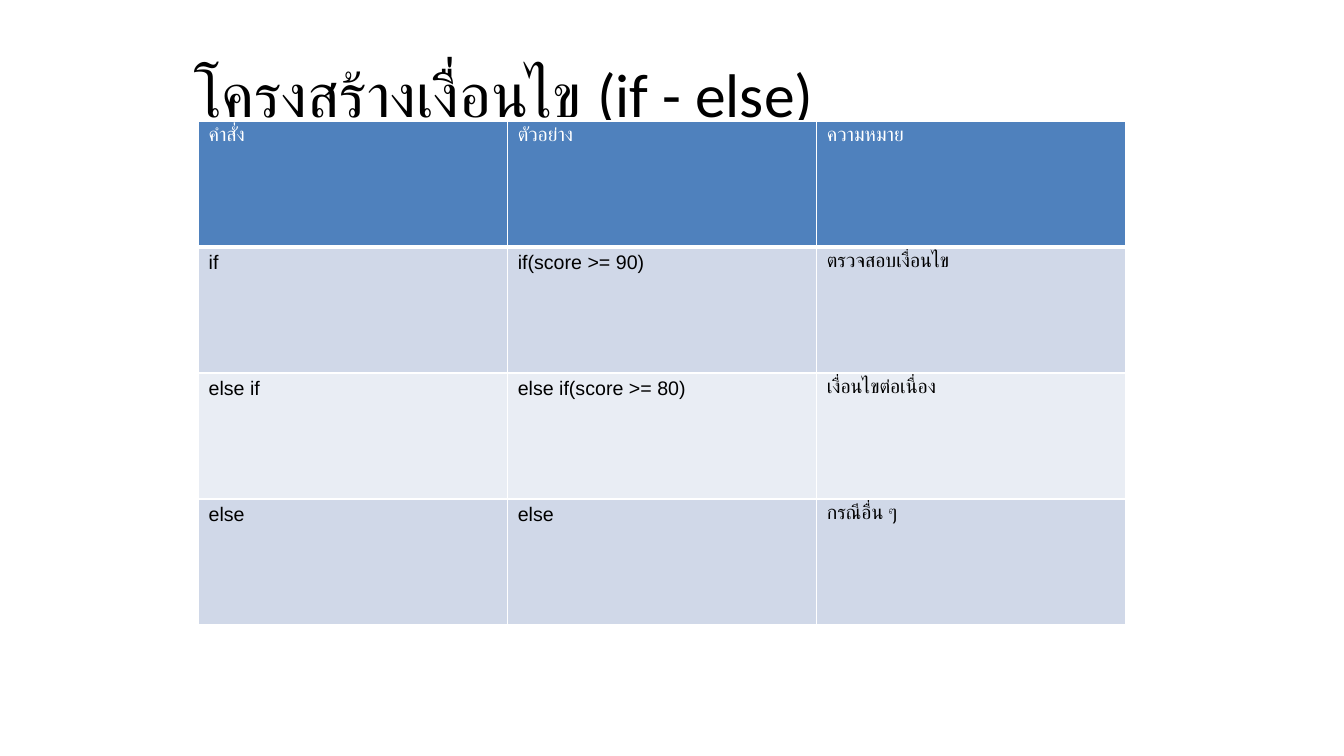
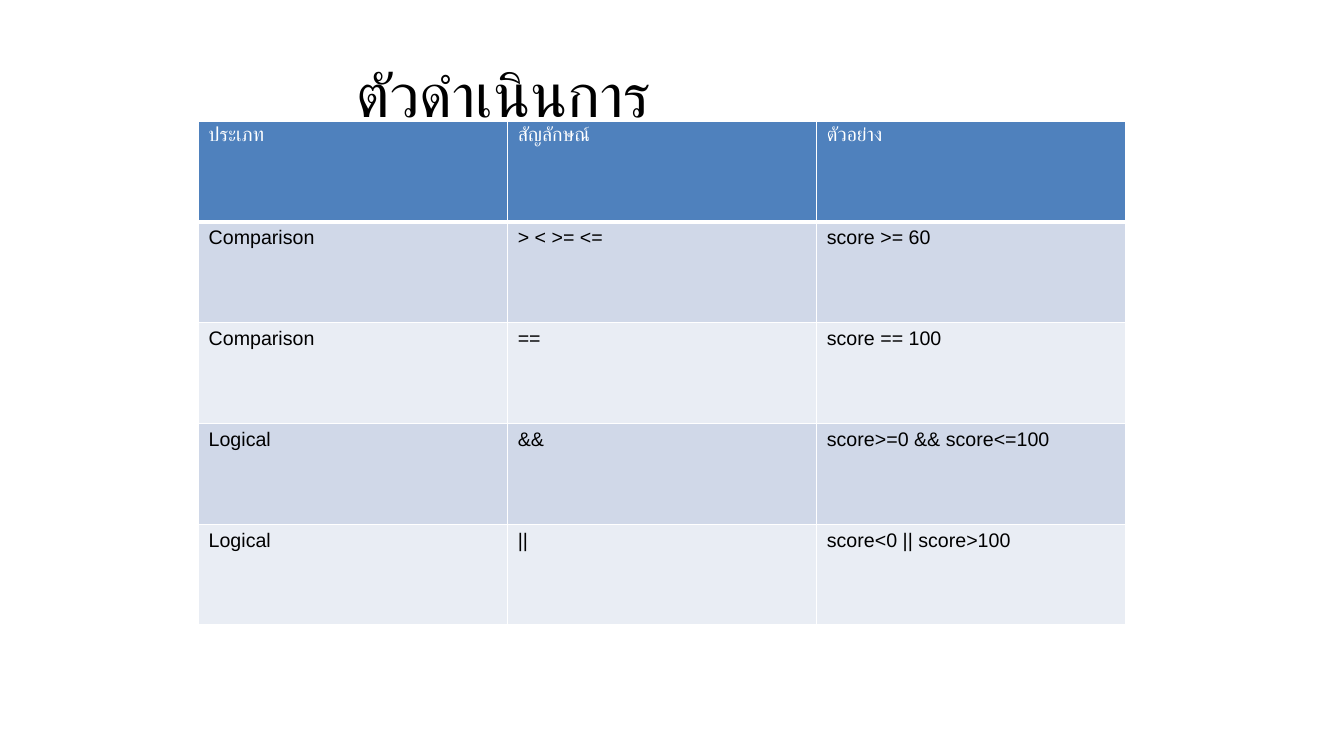
import pptx
import pptx.dml.color
import pptx.enum.text
import pptx.oxml
import pptx.oxml.ns
import pptx.util
from dataclasses import dataclass

Pt = pptx.util.Pt
RGB = pptx.dml.color.RGBColor.from_string

SLIDES = [
    {
        "title": "โครงสร้างเงื่อนไข (if - else)",
        "rows": [
            ("คำสั่ง", "ตัวอย่าง", "ความหมาย"),
            ("if", "if(score >= 90)", "ตรวจสอบเงื่อนไข"),
            ("else if", "else if(score >= 80)", "เงื่อนไขต่อเนื่อง"),
            ("else", "else", "กรณีอื่น ๆ"),
        ],
    },
    {
        "title": "ตัวดำเนินการ",
        "rows": [
            ("ประเภท", "สัญลักษณ์", "ตัวอย่าง"),
            ("Comparison", "> < >= <=", "score >= 60"),
            ("Comparison", "==", "score == 100"),
            ("Logical", "&&", "score>=0 && score<=100"),
            ("Logical", "||", "score<0 || score>100"),
        ],
    },
]


@dataclass(frozen=True)
class Theme:
    title_font: str = "Calibri"
    body_font: str = "Arial"
    title_size: int = 44
    body_size: int = 14
    text: str = "000000"
    white: str = "FFFFFF"
    header: str = "4F81BD"
    bands: tuple = ("D0D8E8", "E9EDF4")
    rule: int = 1
    header_rule: int = 3


THEME = Theme()
SLIDE_SIZE = (960, 540)
TITLE_BOX = (36, 21.6, 648, 90)
TABLE_BOX = (141.84, 86.4, 662.4, 360)


def add_run(p, text, font, size, color):
    r = p.add_run()
    r.text = text
    r.font.name = font
    r.font.size = Pt(size)
    r.font.bold = False
    r.font.color.rgb = RGB(color)


def add_title(slide, text):
    tf = slide.shapes.add_textbox(*map(Pt, TITLE_BOX)).text_frame
    tf.word_wrap = True
    tf.vertical_anchor = pptx.enum.text.MSO_ANCHOR.MIDDLE
    p = tf.paragraphs[0]
    p.alignment = pptx.enum.text.PP_ALIGN.CENTER
    add_run(p, text, THEME.title_font, THEME.title_size, THEME.text)


def add_borders(cell, bottom):
    tcPr = cell._tc.get_or_add_tcPr()
    widths = {"L": THEME.rule, "R": THEME.rule, "T": THEME.rule, "B": bottom}
    for side, width in widths.items():
        tcPr.append(pptx.oxml.parse_xml(
            f'<a:ln{side} {pptx.oxml.ns.nsdecls("a")} w="{Pt(width)}">'
            f'<a:solidFill><a:srgbClr val="{THEME.white}"/></a:solidFill></a:ln{side}>'
        ))


def add_table(slide, rows):
    left, top, width, height = TABLE_BOX
    n_rows, n_cols = len(rows), len(rows[0])
    table = slide.shapes.add_table(n_rows, n_cols, *map(Pt, TABLE_BOX)).table
    for col in table.columns:
        col.width = Pt(width / n_cols)
    for i, texts in enumerate(rows):
        table.rows[i].height = Pt(height / n_rows)
        if i == 0:
            fill, color, bottom = THEME.header, THEME.white, THEME.header_rule
        else:
            fill, color, bottom = THEME.bands[(i - 1) % 2], THEME.text, THEME.rule
        for j, text in enumerate(texts):
            cell = table.cell(i, j)
            add_borders(cell, bottom)
            cell.fill.solid()
            cell.fill.fore_color.rgb = RGB(fill)
            add_run(cell.text_frame.paragraphs[0], text,
                    THEME.body_font, THEME.body_size, color)


def main():
    prs = pptx.Presentation()
    prs.slide_width, prs.slide_height = map(Pt, SLIDE_SIZE)
    for content in SLIDES:
        slide = prs.slides.add_slide(prs.slide_layouts[6])
        add_title(slide, content["title"])
        add_table(slide, content["rows"])
    prs.save("out.pptx")


if __name__ == "__main__":
    main()
